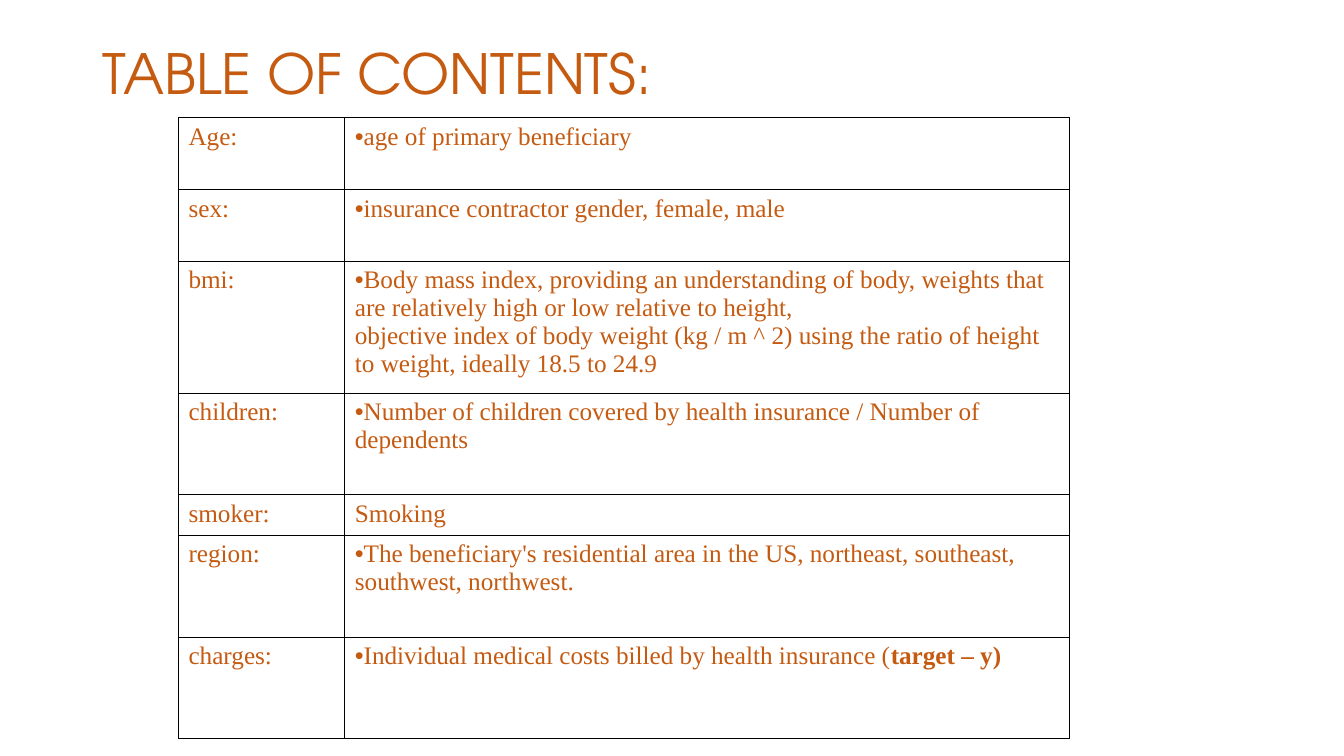
"""Build a slide with a table that explains the columns of a health insurance dataset."""
import pptx
import pptx.dml.color
import pptx.enum.text
import pptx.oxml
import pptx.oxml.ns
import pptx.util
from lxml import etree

Inches = pptx.util.Inches
ORANGE = "C55A11"
NS = pptx.oxml.ns.nsdecls("a")


def add_text(p, text, font="Times New Roman", size=18, color=ORANGE, bold=False, bullet=False):
    for i, line in enumerate(text.split("\n")):
        if i:
            p.add_line_break()
        r = p.add_run()
        r.text = line
        r.font.name = font
        r.font.size = pptx.util.Pt(size)
        r.font.bold = bold
        r.font.color.rgb = pptx.dml.color.RGBColor.from_string(color)
    if bullet:
        pPr = p._p.get_or_add_pPr()
        pPr.set("marL", "0")
        pPr.set("indent", str(Inches(-0.12)))
        for xml in (f'<a:buClr {NS}><a:srgbClr val="{color}"/></a:buClr>',
                    f'<a:buFont {NS} typeface="Arial"/>',
                    f'<a:buChar {NS} char="•"/>'):
            pPr.append(pptx.oxml.parse_xml(xml))


def set_borders(cell, color="000000", width=0.75):
    tcPr = cell._tc.get_or_add_tcPr()
    for side in "LRTB":
        ln = etree.SubElement(tcPr, pptx.oxml.ns.qn(f"a:ln{side}"), w=str(pptx.util.Pt(width)))
        ln.append(pptx.oxml.parse_xml(f'<a:solidFill {NS}><a:srgbClr val="{color}"/></a:solidFill>'))


prs = pptx.Presentation()
prs.slide_width, prs.slide_height = Inches(13.33), Inches(7.5)
s = prs.slides.add_slide(prs.slide_layouts[6])

sp = s.shapes.add_textbox(Inches(0.92), Inches(0.4), Inches(8.84), Inches(0.64))
tf = sp.text_frame
tf.word_wrap = True
tf.vertical_anchor = pptx.enum.text.MSO_ANCHOR.MIDDLE
add_text(tf.paragraphs[0], "TABLE OF CONTENTS:", font="TeX Gyre Adventor", size=39.6)

rows = [
    (0.71, "Age:", "age of primary beneficiary", ""),
    (0.71, "sex:", "insurance contractor gender, female, male", ""),
    (1.31, "bmi:", "Body mass index, providing an understanding of body, weights that are "
     "relatively high or low relative to height,\nobjective index of body weight (kg / m ^ 2) "
     "using the ratio of height to weight, ideally 18.5 to 24.9", ""),
    (1.01, "children:", "Number of children covered by health insurance / Number of dependents", ""),
    (0.4, "smoker:", "Smoking", ""),
    (1.01, "region:", "The beneficiary's residential area in the US, northeast, southeast, "
     "southwest, northwest.", ""),
    (1.01, "charges:", "Individual medical costs billed by health insurance (", "target – y)"),
]
widths = [1.65, 7.19]
table = s.shapes.add_table(len(rows), len(widths), Inches(1.77), Inches(1.17),
                           Inches(sum(widths)), Inches(sum(row[0] for row in rows))).table
table.first_row = table.horz_banding = False
for column, width in zip(table.columns, widths):
    column.width = Inches(width)
for i, (height, name, meaning, target) in enumerate(rows):
    table.rows[i].height = Inches(height)
    for j, text in enumerate((name, meaning)):
        cell = table.cell(i, j)
        set_borders(cell)
        cell.fill.background()
        p = cell.text_frame.paragraphs[0]
        add_text(p, text, bullet=j == 1 and name != "smoker:")
        if j == 1 and target:
            add_text(p, target, bold=True)

prs.save("out.pptx")
